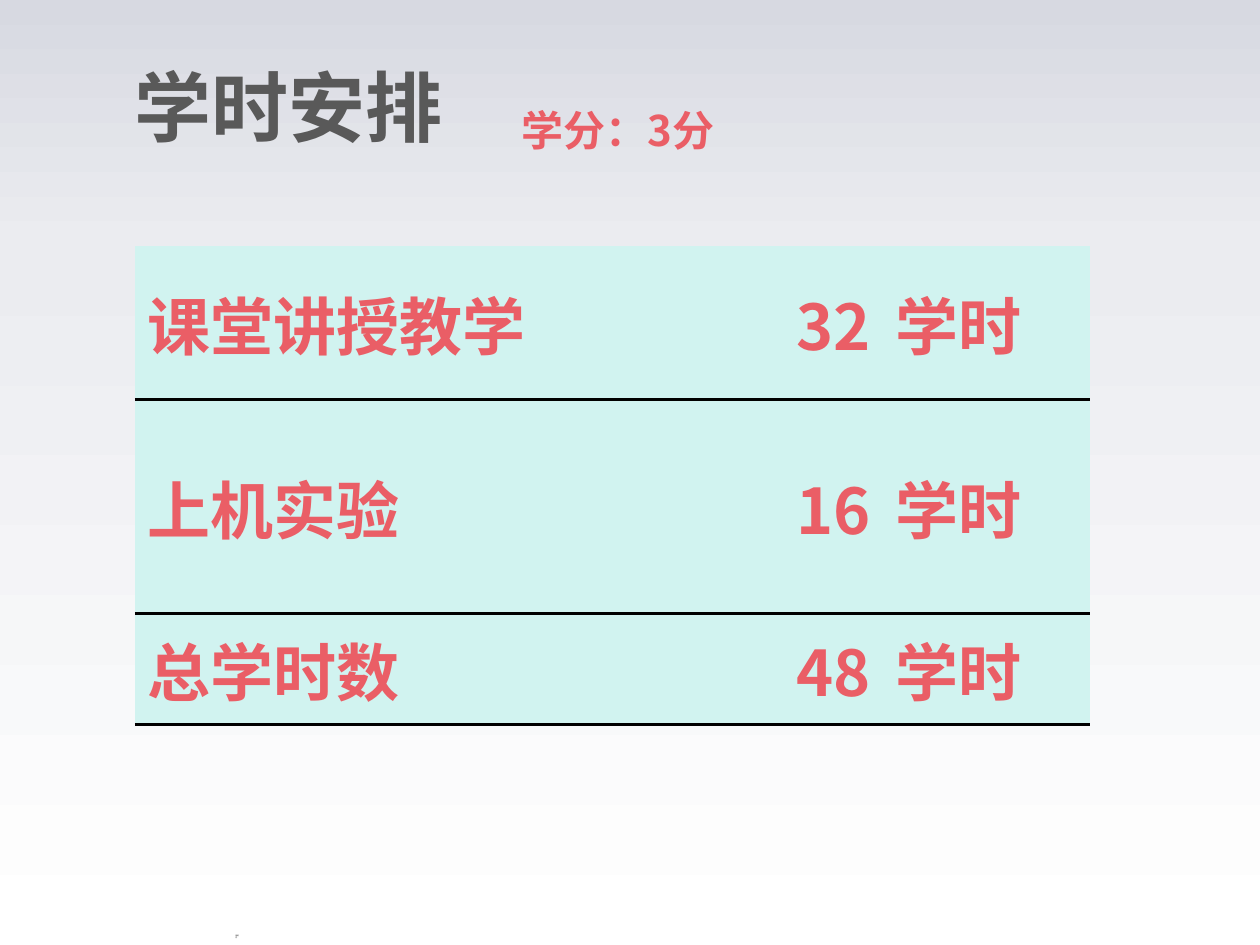
import copy

import pptx
import pptx.dml.color
import pptx.enum.text
import pptx.oxml
import pptx.oxml.ns
import pptx.util

Inches = pptx.util.Inches
Pt = pptx.util.Pt
RGBColor = pptx.dml.color.RGBColor
ALIGN = pptx.enum.text.PP_ALIGN
ANCHOR = pptx.enum.text.MSO_ANCHOR
AUTO_SIZE = pptx.enum.text.MSO_AUTO_SIZE
qn = pptx.oxml.ns.qn

GREY = RGBColor(0x59, 0x59, 0x59)
CORAL = RGBColor(0xEA, 0x5E, 0x66)
MINT = RGBColor(0xD1, 0xF3, 0xF0)
BLACK = RGBColor(0, 0, 0)
BACKDROP = [(0, RGBColor(0xD7, 0xD9, 0xE1)),
            (0.26, RGBColor(0xEB, 0xEC, 0xF0)),
            (1, RGBColor(0xFF, 0xFF, 0xFF))]
CJK_FONT = "Noto Sans CJK SC"

HOURS = [("课堂讲授教学", "32", "学时"),
         ("上机实验", "16", "学时"),
         ("总学时数", "48", "学时")]
COLUMN_WIDTHS = [4.22, 1.72, 1.64]
ROW_HEIGHTS = [1.22, 1.7, 0.88]
COLUMN_ALIGNS = [ALIGN.LEFT, ALIGN.RIGHT, ALIGN.LEFT]


def paint_background(slide):
    fill = slide.background.fill
    fill.gradient()
    fill.gradient_angle = 270
    stop_list = slide.element.find(".//" + qn("a:gsLst"))
    stop_list.append(copy.deepcopy(stop_list[0]))
    for stop, (position, color) in zip(fill.gradient_stops, BACKDROP):
        stop.position = position
        stop.color.rgb = color


def add_run(paragraph, text, size, color, font=CJK_FONT, bold=True):
    run = paragraph.add_run()
    run.text = text
    run.font.size = Pt(size)
    run.font.bold = bold
    run.font.color.rgb = color
    run.font.name = font
    # East Asian characters take their face from a separate element
    east_asian = pptx.oxml.parse_xml(
        f'<a:ea {pptx.oxml.ns.nsdecls("a")} typeface="{CJK_FONT}"/>')
    run.font._element.find(qn("a:latin")).addnext(east_asian)


def set_frame(frame, side, end, wrap=True):
    frame.margin_left = frame.margin_right = Inches(side)
    frame.margin_top = frame.margin_bottom = Inches(end)
    frame.word_wrap = wrap


def fill_title(slide, text):
    title = slide.shapes.title
    title.left, title.top = Inches(1.07), Inches(0.47)
    title.width, title.height = Inches(7.59), Inches(0.74)
    frame = title.text_frame
    set_frame(frame, 0, 0)
    frame.auto_size = AUTO_SIZE.NONE
    frame.vertical_anchor = ANCHOR.MIDDLE
    frame.paragraphs[0].alignment = ALIGN.LEFT
    add_run(frame.paragraphs[0], text, 44, GREY)


def add_label(slide, left, top, width, height, end=0.04, wrap=True):
    box = slide.shapes.add_textbox(
        Inches(left), Inches(top), Inches(width), Inches(height))
    set_frame(box.text_frame, 0.07, end, wrap)
    box.text_frame.auto_size = AUTO_SIZE.SHAPE_TO_FIT_TEXT
    return box.text_frame.paragraphs[0]


def set_borders(cell, ruled_edges):
    properties = cell._tc.get_or_add_tcPr()
    for index, edge in enumerate(("L", "R", "T", "B")):
        line = (f'<a:solidFill><a:srgbClr val="{BLACK}"/></a:solidFill>'
                if edge in ruled_edges else "<a:noFill/>")
        properties.insert(index, pptx.oxml.parse_xml(
            f'<a:ln{edge} {pptx.oxml.ns.nsdecls("a")} w="{Pt(2)}">'
            f'{line}</a:ln{edge}>'))


def add_hours_table(slide):
    table = slide.shapes.add_table(
        len(HOURS), len(COLUMN_WIDTHS), Inches(1.07), Inches(1.95),
        Inches(sum(COLUMN_WIDTHS)), Inches(sum(ROW_HEIGHTS))).table
    table.first_row = table.horz_banding = False
    for column, width in zip(table.columns, COLUMN_WIDTHS):
        column.width = Inches(width)
    for row_index, texts in enumerate(HOURS):
        table.rows[row_index].height = Inches(ROW_HEIGHTS[row_index])
        for column_index, text in enumerate(texts):
            cell = table.cell(row_index, column_index)
            cell.vertical_anchor = ANCHOR.MIDDLE
            cell.fill.solid()
            cell.fill.fore_color.rgb = MINT
            set_borders(cell, "TB" if row_index else "B")
            paragraph = cell.text_frame.paragraphs[0]
            paragraph.alignment = COLUMN_ALIGNS[column_index]
            # Hanging indent
            indents = paragraph._p.get_or_add_pPr()
            indents.set("marL", str(Inches(0.38)))
            indents.set("indent", str(-Inches(0.38)))
            add_run(paragraph, text, 36, CORAL)


def main():
    presentation = pptx.Presentation()
    presentation.slide_width = Inches(10)
    presentation.slide_height = Inches(7.5)
    slide = presentation.slides.add_slide(presentation.slide_layouts[5])
    paint_background(slide)

    # Tiny mark at the foot of the slide
    mark = add_label(slide, 1.8, 7.41, 0.17, 0.08, end=0.03, wrap=False)
    add_run(mark, "延迟符", 1, BLACK, font="Calibri", bold=False)

    # Heading and credit
    fill_title(slide, "学时安排")
    credit = add_label(slide, 4.07, 0.59, 3.49, 0.68)
    credit.line_spacing = 1.5
    add_run(credit, "学分：3分", 24, CORAL)

    add_hours_table(slide)
    presentation.save("out.pptx")


if __name__ == "__main__":
    main()
